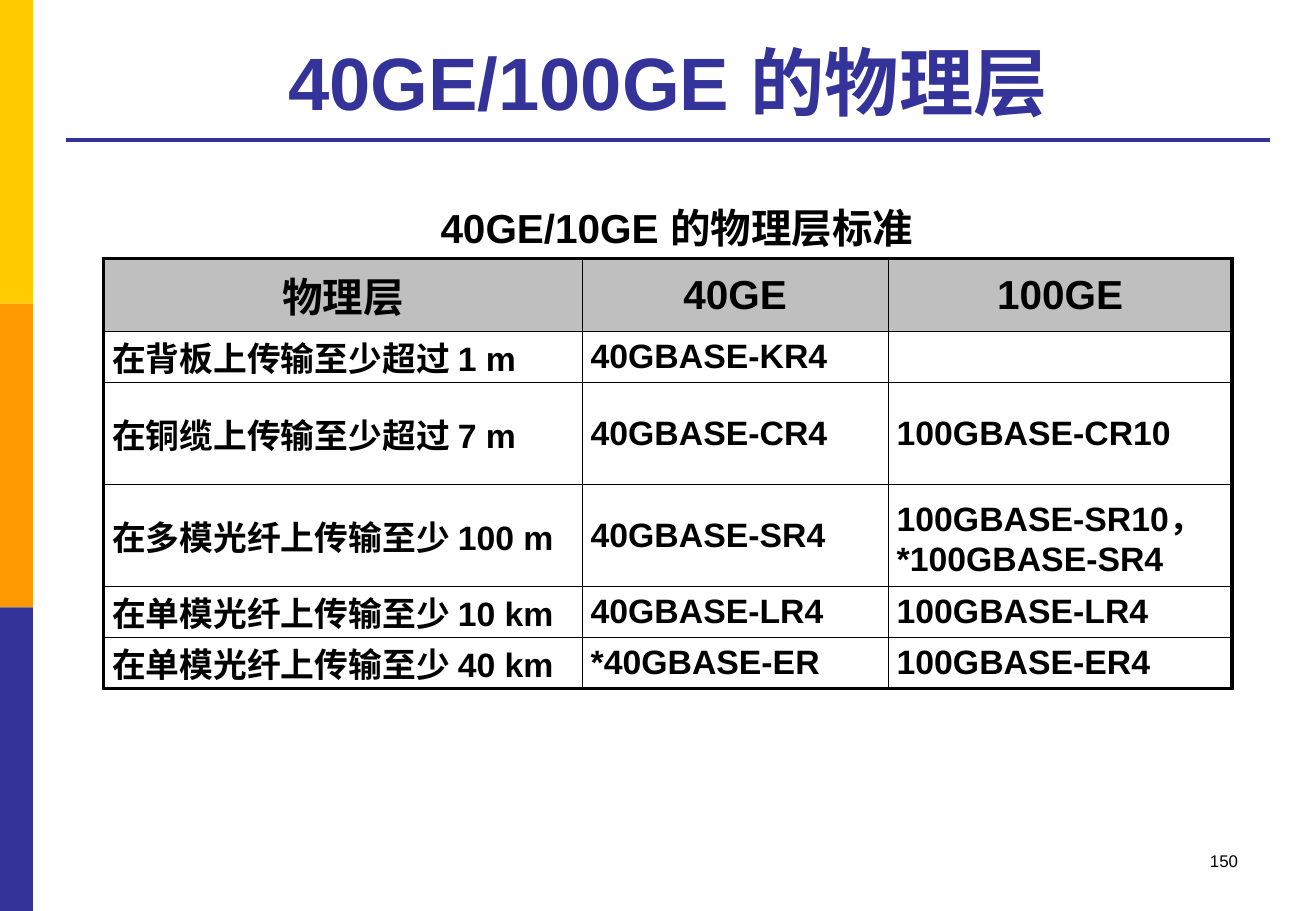
from dataclasses import dataclass

from lxml import etree
from pptx import Presentation
from pptx import util as u
from pptx.dml import color
from pptx.enum import shapes, text
from pptx.oxml import ns

Pt = u.Pt


@dataclass(frozen=True)
class Theme:
    font: str = "Arial"
    yellow: str = "FFCC00"
    orange: str = "FF9900"
    indigo: str = "333399"
    black: str = "000000"
    header_gray: str = "BFBFBF"
    title_size: float = 44
    heading_size: float = 24
    body_size: float = 20
    number_size: float = 10
    thick: float = 2.25
    thin: float = 1


THEME = Theme()
COLUMN_WIDTHS = [283.7, 181.4, 203.8]
ROW_HEIGHTS = [43, 30.25, 60.5, 60.5, 30.25, 30.25]
STANDARDS = [
    ["物理层", "40GE", "100GE"],
    ["在背板上传输至少超过 1 m", "40GBASE-KR4", ""],
    ["在铜缆上传输至少超过 7 m", "40GBASE-CR4", "100GBASE-CR10"],
    ["在多模光纤上传输至少 100 m", "40GBASE-SR4", "100GBASE-SR10，\n*100GBASE-SR4"],
    ["在单模光纤上传输至少 10 km", "40GBASE-LR4", "100GBASE-LR4"],
    ["在单模光纤上传输至少 40 km", "*40GBASE-ER", "100GBASE-ER4"],
]


def rgb(value):
    return color.RGBColor.from_string(value)


def apply_format(target, values):
    for name, value in values.items():
        setattr(target, name, value)


def write_text(frame, content, size, ink, bold, alignment):
    frame.text = content
    for paragraph in frame.paragraphs:
        paragraph.alignment = alignment
        apply_format(paragraph.font, {"name": THEME.font, "size": Pt(size), "bold": bold})
        paragraph.font.color.rgb = rgb(ink)


def add_label(slide, box, content, size, ink, bold, alignment, anchor):
    frame = slide.shapes.add_textbox(*map(Pt, box)).text_frame
    apply_format(frame, {"word_wrap": True, "vertical_anchor": anchor})
    write_text(frame, content, size, ink, bold, alignment)


def add_stripe(slide, box):
    left, top, width, height = box
    fills = [THEME.yellow, THEME.orange, THEME.indigo]
    band = height / len(fills)
    for index, fill in enumerate(fills):
        shape = slide.shapes.add_shape(
            shapes.MSO_SHAPE.RECTANGLE, Pt(left), Pt(top + index * band), Pt(width), Pt(band)
        )
        shape.shadow.inherit = False
        shape.fill.solid()
        shape.fill.fore_color.rgb = rgb(fill)
        shape.line.fill.background()


def add_header(slide, box):
    left, top, width, height = box
    add_label(slide, (left, top, width, height - 5.2), "40GE/100GE 的物理层", THEME.title_size,
              THEME.indigo, True, text.PP_ALIGN.CENTER, text.MSO_ANCHOR.BOTTOM)
    bottom = top + height
    rule = slide.shapes.add_connector(
        shapes.MSO_CONNECTOR.STRAIGHT, Pt(left), Pt(bottom), Pt(left + width), Pt(bottom)
    )
    rule.line.color.rgb = rgb(THEME.indigo)
    rule.line.width = Pt(THEME.thick)
    etree.SubElement(rule.element.spPr, ns.qn("a:effectLst"))


def set_borders(cell, widths):
    properties = cell._tc.get_or_add_tcPr()
    for index, (side, width) in enumerate(widths.items()):
        line = etree.Element(ns.qn(f"a:ln{side}"), w=str(Pt(width)))
        fill = etree.SubElement(line, ns.qn("a:solidFill"))
        etree.SubElement(fill, ns.qn("a:srgbClr"), val=THEME.black)
        properties.insert(index, line)


def add_standards_table(slide, box):
    left, top, width, height = box
    caption_height = 36.8
    add_label(slide, (left + 79, top, 521.5, 36), "40GE/10GE 的物理层标准", THEME.heading_size,
              THEME.black, True, text.PP_ALIGN.CENTER, text.MSO_ANCHOR.MIDDLE)
    table = slide.shapes.add_table(
        len(ROW_HEIGHTS), len(COLUMN_WIDTHS),
        Pt(left), Pt(top + caption_height), Pt(width), Pt(height - caption_height)
    ).table
    apply_format(table, {"first_row": False, "horz_banding": False})
    for column, column_width in zip(table.columns, COLUMN_WIDTHS):
        column.width = Pt(column_width)
    for row, row_height in zip(table.rows, ROW_HEIGHTS):
        row.height = Pt(row_height)

    last_row, last_column = len(ROW_HEIGHTS) - 1, len(COLUMN_WIDTHS) - 1
    for row, contents in enumerate(STANDARDS):
        header = row == 0
        size = THEME.heading_size if header else THEME.body_size
        alignment = text.PP_ALIGN.CENTER if header else text.PP_ALIGN.JUSTIFY
        for column, content in enumerate(contents):
            cell = table.cell(row, column)
            apply_format(cell, {
                "margin_left": Pt(5), "margin_right": Pt(5),
                "margin_top": 0, "margin_bottom": 0,
                "vertical_anchor": text.MSO_ANCHOR.MIDDLE,
            })
            if header:
                cell.fill.solid()
                cell.fill.fore_color.rgb = rgb(THEME.header_gray)
            else:
                cell.fill.background()
            write_text(cell.text_frame, content, size, THEME.black, True, alignment)
            outer = {"L": column == 0, "R": column == last_column,
                     "T": header, "B": row == last_row}
            set_borders(cell, {side: THEME.thick if edge else THEME.thin
                               for side, edge in outer.items()})


def add_slide_number(slide, box):
    add_label(slide, box, "150", THEME.number_size, THEME.black, False,
              text.PP_ALIGN.RIGHT, text.MSO_ANCHOR.TOP)


def main():
    presentation = Presentation()
    apply_format(presentation, {"slide_width": Pt(780), "slide_height": Pt(540)})
    slide = presentation.slides.add_slide(presentation.slide_layouts[6])
    add_stripe(slide, (0, 0, 19.5, 540))
    add_header(slide, (39, 15, 714, 67.8))
    add_standards_table(slide, (61.4, 116.6, sum(COLUMN_WIDTHS), 36.8 + sum(ROW_HEIGHTS)))
    add_slide_number(slide, (558.8, 500.4, 182, 36))
    presentation.save("out.pptx")


if __name__ == "__main__":
    main()
